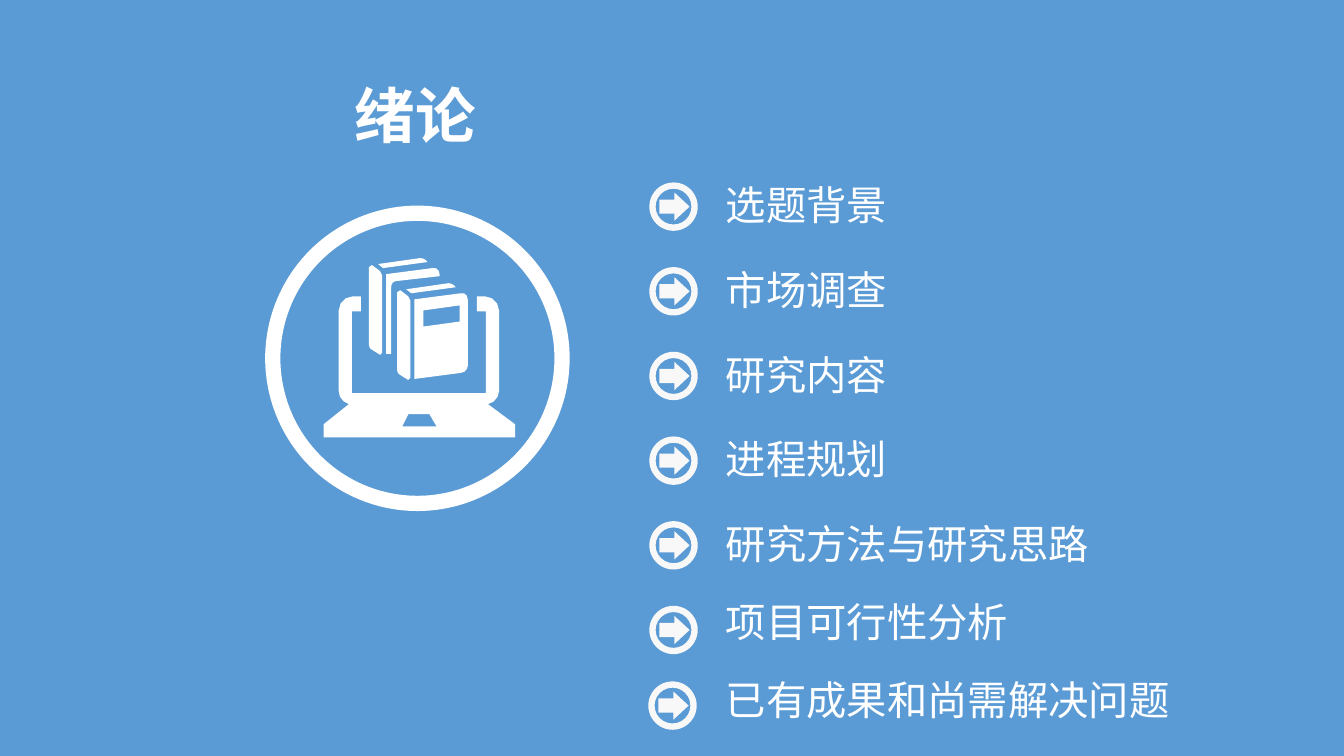
from lxml import etree
from pptx import Presentation
from pptx.dml.color import RGBColor
from pptx.enum import shapes, text
from pptx.oxml.ns import qn
from pptx.util import Inches, Pt

BLUE = RGBColor(0x5B, 0x9B, 0xD5)
WHITE = RGBColor(0xFF, 0xFF, 0xFF)
OFF_WHITE = RGBColor(0xF8, 0xF8, 0xF8)
FONT = "Noto Sans CJK SC"

# Topic, top of its text, left and top of its bullet
ROW_STEP = 0.84
TOPICS = [
    (topic, 1.74 + row * ROW_STEP, 6.44, 1.81 + row * ROW_STEP)
    for row, topic in enumerate(
        ["选题背景", "市场调查", "研究内容", "进程规划", "研究方法与研究思路"])
] + [
    ("项目可行性分析", 5.88, 6.44, 6.01),
    ("已有成果和尚需解决问题", 6.65, 6.43, 6.76),
]

# Outlines in inches: a pair is a corner, six numbers are a Bézier curve
LAPTOP = [
    (3.49, 3.09), (3.58, 3.09), (3.58, 2.94), (3.5, 2.94),
    (3.42, 2.94, 3.36, 3.01, 3.36, 3.08), (3.36, 3.88),
    (3.36, 3.94, 3.4, 3.99, 3.46, 4.01), (3.21, 4.21), (3.21, 4.34),
    (5.11, 4.34), (5.11, 4.21), (4.84, 4.01),
    (4.9, 4, 4.95, 3.94, 4.95, 3.88), (4.95, 3.08),
    (4.95, 3.01, 4.89, 2.94, 4.81, 2.94), (4.73, 2.94), (4.73, 3.09),
    (4.82, 3.09), (4.82, 3.9), (3.49, 3.9),
]
TOUCHPAD = [(4.05, 4.11), (4.26, 4.11), (4.33, 4.23), (3.99, 4.23)]
BOOK_TOP = [
    (4.03, 2.87), (4.08, 2.91), (4.52, 2.85),
    (4.51, 2.83, 4.48, 2.81, 4.45, 2.81),
]
BOOK_SPINE = [
    (3.97, 2.88), (4.05, 2.94), (4.07, 2.98), (4.07, 3.75), (4.05, 3.77),
    (3.97, 3.72), (3.95, 3.71, 3.94, 3.69, 3.94, 3.67), (3.94, 2.9),
]
FRONT_COVER = [
    (4.11, 2.97), (4.57, 2.91), (4.61, 2.9, 4.64, 2.93, 4.64, 2.97),
    (4.64, 3.63), (4.64, 3.66, 4.61, 3.7, 4.57, 3.7), (4.11, 3.76),
]
COVER_LABEL = [(4.2, 3.08), (4.56, 3.03), (4.56, 3.19), (4.2, 3.24)]
BACK_COVER = [
    (3.83, 2.72), (4.29, 2.66), (4.33, 2.65, 4.36, 2.68, 4.36, 2.72),
    (4.36, 2.74), (3.92, 2.79), (3.89, 2.8, 3.88, 2.82, 3.88, 2.86),
    (3.88, 3.51), (3.83, 3.51),
]
BACK_BOOK_SHIFT = (-0.28, -0.25)


def shifted(outline, dx, dy):
    return [tuple(value + (dy if index % 2 else dx)
                  for index, value in enumerate(step)) for step in outline]


def flattened(outline, pieces=3):
    """Turn the Bézier curves of an outline into short straight lines."""
    points = []
    for step in outline:
        if len(step) == 2:
            points.append(step)
            continue
        start, controls = points[-1], (step[:2], step[2:4], step[4:])
        for piece in range(1, pieces + 1):
            t = piece / pieces
            weights = ((1 - t) ** 3, 3 * t * (1 - t) ** 2, 3 * t * t * (1 - t), t ** 3)
            points.append(tuple(
                sum(w * p[axis] for w, p in zip(weights, (start, *controls)))
                for axis in (0, 1)))
    return points


def paint(shape, color):
    shape.shadow.inherit = False
    shape.fill.solid()
    shape.fill.fore_color.rgb = color
    shape.line.fill.background()


def add_preset(slide, kind, left, top, width, height, color, adjustments=()):
    shape = slide.shapes.add_shape(
        kind, Inches(left), Inches(top), Inches(width), Inches(height))
    for index, value in enumerate(adjustments):
        shape.adjustments[index] = value
    paint(shape, color)


def add_outlines(slide, outlines, color):
    """Draw all outlines as one shape; an outline within another is a hole."""
    builder = None
    for outline in outlines:
        first, *rest = [(Inches(x), Inches(y)) for x, y in flattened(outline)]
        if builder is None:
            builder = slide.shapes.build_freeform(*first)
        else:
            builder.move_to(*first)
        builder.add_line_segments(rest, close=True)
    paint(builder.convert_to_shape(), color)


def add_text(slide, content, left, top, width, height, size, bold=False, color=WHITE):
    box = slide.shapes.add_textbox(
        Inches(left), Inches(top), Inches(width), Inches(height))
    frame = box.text_frame
    frame.word_wrap = False
    frame.auto_size = text.MSO_AUTO_SIZE.SHAPE_TO_FIT_TEXT
    run = frame.paragraphs[0].add_run()
    run.text = content
    font = run.font
    font.name, font.size, font.bold = FONT, Pt(size), bold
    font.color.rgb = color
    east_asian = etree.SubElement(run._r.get_or_add_rPr(), qn("a:ea"))
    east_asian.set("typeface", FONT)


def add_arrow_bullet(slide, left, top):
    add_preset(slide, shapes.MSO_SHAPE.DONUT, left, top, 0.48, 0.48,
               OFF_WHITE, [0.13])
    add_preset(slide, shapes.MSO_SHAPE.RIGHT_ARROW, left + 0.1, top + 0.1, 0.3, 0.28,
               OFF_WHITE, [0.5, 0.54])


def add_study_icon(slide):
    add_preset(slide, shapes.MSO_SHAPE.DONUT, 2.63, 2.04, 3.02, 3.03, WHITE, [0.05])
    add_outlines(slide, [
        LAPTOP, TOUCHPAD, BOOK_TOP, BOOK_SPINE, FRONT_COVER, COVER_LABEL, BACK_COVER,
        shifted(BOOK_TOP, *BACK_BOOK_SHIFT), shifted(BOOK_SPINE, *BACK_BOOK_SHIFT),
    ], WHITE)


def main():
    presentation = Presentation()
    presentation.slide_width = Inches(13.33)
    presentation.slide_height = Inches(7.5)
    slide = presentation.slides.add_slide(presentation.slide_layouts[6])

    add_preset(slide, shapes.MSO_SHAPE.RECTANGLE, 0, 0, 13.33, 7.5, BLUE)
    add_text(slide, "绪论", 3.42, 0.73, 1.42, 0.83, size=43.2, bold=True)
    add_study_icon(slide)
    for topic, text_top, bullet_left, bullet_top in TOPICS:
        add_arrow_bullet(slide, bullet_left, bullet_top)
        add_text(slide, topic, 7.1, text_top, 0.2 + 0.4 * len(topic), 0.59, size=28.8)
    presentation.save("out.pptx")


if __name__ == "__main__":
    main()
